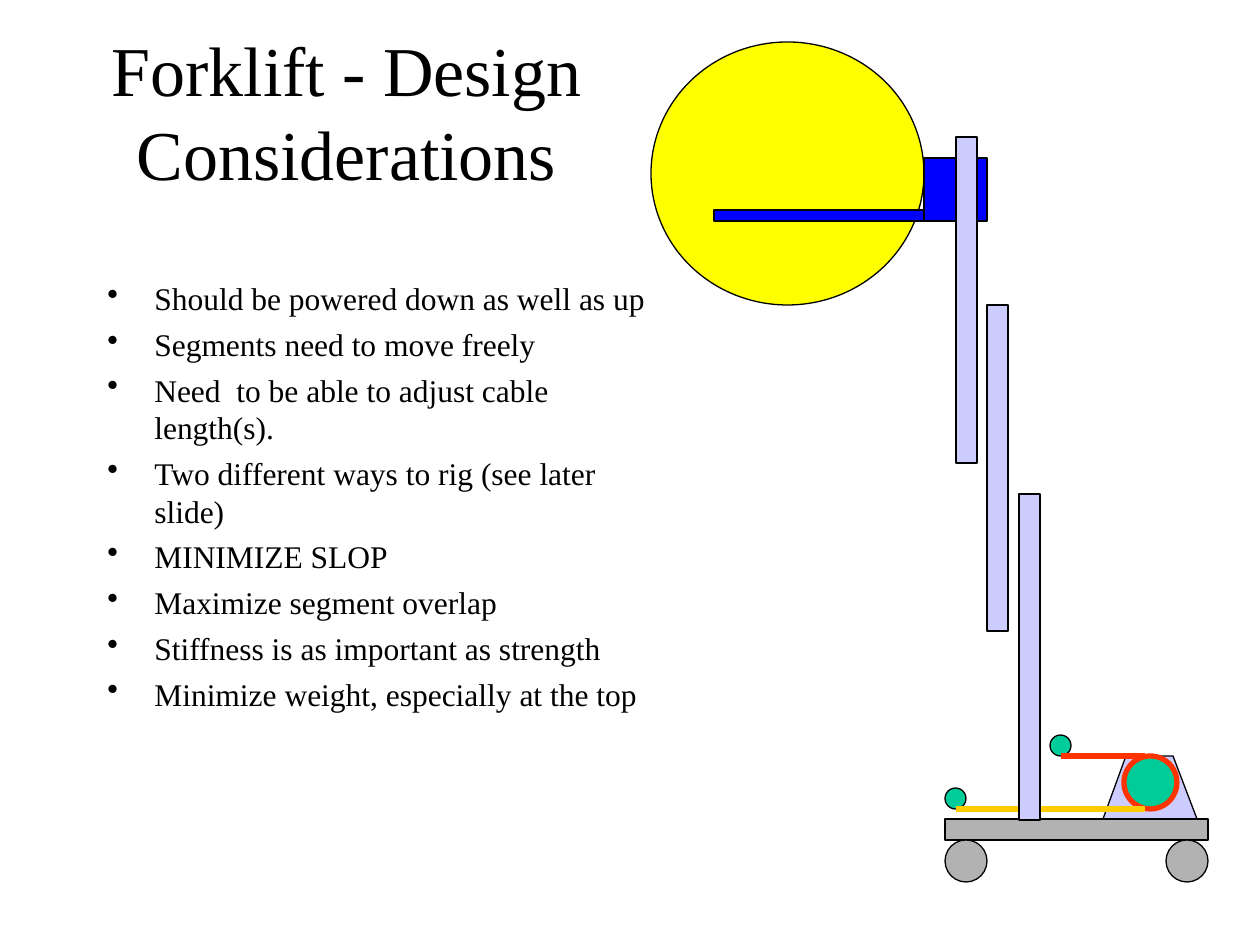
import pptx
import pptx.dml.color
import pptx.enum.shapes
import pptx.enum.text
import pptx.oxml.ns
import pptx.util
from lxml import etree

RGBColor = pptx.dml.color.RGBColor
BLACK = RGBColor(0x00, 0x00, 0x00)
LAVENDER = RGBColor(0xCC, 0xCC, 0xFF)
GRAY = RGBColor(0xB2, 0xB2, 0xB2)
GREEN = RGBColor(0x00, 0xCC, 0x99)
RED = RGBColor(0xFF, 0x33, 0x00)
GOLD = RGBColor(0xFF, 0xCC, 0x00)
YELLOW = RGBColor(0xFF, 0xFF, 0x00)
BLUE = RGBColor(0x00, 0x00, 0xFF)

FONT = "Times New Roman"
EMU_PER_PX = 914400 / 126
RECTANGLE = pptx.enum.shapes.MSO_SHAPE.RECTANGLE
OVAL = pptx.enum.shapes.MSO_SHAPE.OVAL
THIN, THICK = 0.75, 3

TITLE = "Forklift - Design Considerations"
CONSIDERATIONS = [
    "Should be powered down as well as up",
    "Segments need to move freely",
    "Need  to be able to adjust cable length(s).",
    "Two different ways to rig (see later slide)",
    "MINIMIZE SLOP",
    "Maximize segment overlap",
    "Stiffness is as important as strength",
    "Minimize weight, especially at the top",
]

# Pixel lengths; boxes are left, top, width, height.
TITLE_BOX = (0, 32, 693, 157)
BODY_BOX = (95, 273, 567, 567)
INDENT = 47

WINCH_STAND = [(1103, 819), (1197, 819), (1173, 756), (1126, 756)]
DRUM = (1124, 756, 53, 53)
WHEEL, PULLEY = 42, 21
MAST_WIDTH, MAST_HEIGHT = 21, 326

BASE_PARTS = [
    (RECTANGLE, (945, 819, 263, 21), GRAY),
    (OVAL, (945, 840, WHEEL, WHEEL), GRAY),
    (OVAL, (1166, 840, WHEEL, WHEEL), GRAY),
    (OVAL, DRUM, GREEN),
    (OVAL, (945, 788, PULLEY, PULLEY), GREEN),
    (OVAL, (1050, 735, PULLEY, PULLEY), GREEN),
]
CABLES = [  # start x, end x, y, colour
    (1061, 1145, 756, RED),
    (956, 1145, 809, GOLD),
]
LIFT_PARTS = [
    (RECTANGLE, (987, 305, MAST_WIDTH, MAST_HEIGHT), LAVENDER),
    (OVAL, (651, 42, 273, 263), YELLOW),
    (RECTANGLE, (924, 158, 63, 63), BLUE),
    (RECTANGLE, (714, 210, 210, 11), BLUE),
    (RECTANGLE, (956, 137, MAST_WIDTH, MAST_HEIGHT), LAVENDER),
    (RECTANGLE, (1019, 494, MAST_WIDTH, MAST_HEIGHT), LAVENDER),
]


def px(length):
    return pptx.util.Emu(round(length * EMU_PER_PX))


def style_shape(shape, fill, line=BLACK, width=THIN):
    shape.shadow.inherit = False
    if fill is None:
        shape.fill.background()
    else:
        shape.fill.solid()
        shape.fill.fore_color.rgb = fill
    shape.line.color.rgb = line
    shape.line.width = pptx.util.Pt(width)


def add_part(slide, kind, box, fill, line=BLACK, width=THIN):
    shape = slide.shapes.add_shape(kind, *map(px, box))
    style_shape(shape, fill, line, width)


def add_stand(slide):
    builder = slide.shapes.build_freeform(*WINCH_STAND[0], scale=EMU_PER_PX)
    builder.add_line_segments(WINCH_STAND[1:], close=True)
    style_shape(builder.convert_to_shape(), LAVENDER)


def add_cable(slide, start, end, y, color):
    cable = slide.shapes.add_connector(
        pptx.enum.shapes.MSO_CONNECTOR.STRAIGHT, px(start), px(y), px(end), px(y))
    cable.line.color.rgb = color
    cable.line.width = pptx.util.Pt(THICK)
    etree.SubElement(cable._element.spPr, pptx.oxml.ns.qn("a:effectLst"))


def add_text(slide, box, lines, size):
    frame = slide.shapes.add_textbox(*map(px, box)).text_frame
    frame.word_wrap = True
    frame.text = "\n".join(lines)
    for paragraph in frame.paragraphs:
        paragraph.font.name = FONT
        paragraph.font.size = pptx.util.Pt(size)
        paragraph.font.color.rgb = BLACK
    return frame


def add_bullet(paragraph):
    paragraph.space_before = pptx.util.Pt(4.5)
    properties = paragraph._p.get_or_add_pPr()
    properties.set("marL", str(px(INDENT)))
    properties.set("indent", str(px(-INDENT)))
    bullet = etree.SubElement(properties, pptx.oxml.ns.qn("a:buChar"))
    bullet.set("char", "•")
    # Tab stops and default run properties must follow the bullet.
    defaults = properties.find(pptx.oxml.ns.qn("a:defRPr"))
    if defaults is not None:
        properties.append(defaults)


def main():
    presentation = pptx.Presentation()
    presentation.slide_width, presentation.slide_height = px(1260), px(945)
    slide = presentation.slides.add_slide(presentation.slide_layouts[6])

    title = add_text(slide, TITLE_BOX, [TITLE], 40)
    title.vertical_anchor = pptx.enum.text.MSO_ANCHOR.MIDDLE
    title.paragraphs[0].alignment = pptx.enum.text.PP_ALIGN.CENTER
    for paragraph in add_text(slide, BODY_BOX, CONSIDERATIONS, 18).paragraphs:
        add_bullet(paragraph)

    add_stand(slide)
    for part in BASE_PARTS:
        add_part(slide, *part)
    add_part(slide, OVAL, DRUM, None, RED, THICK)
    for cable in CABLES:
        add_cable(slide, *cable)
    for part in LIFT_PARTS:
        add_part(slide, *part)

    presentation.save("out.pptx")


if __name__ == "__main__":
    main()
